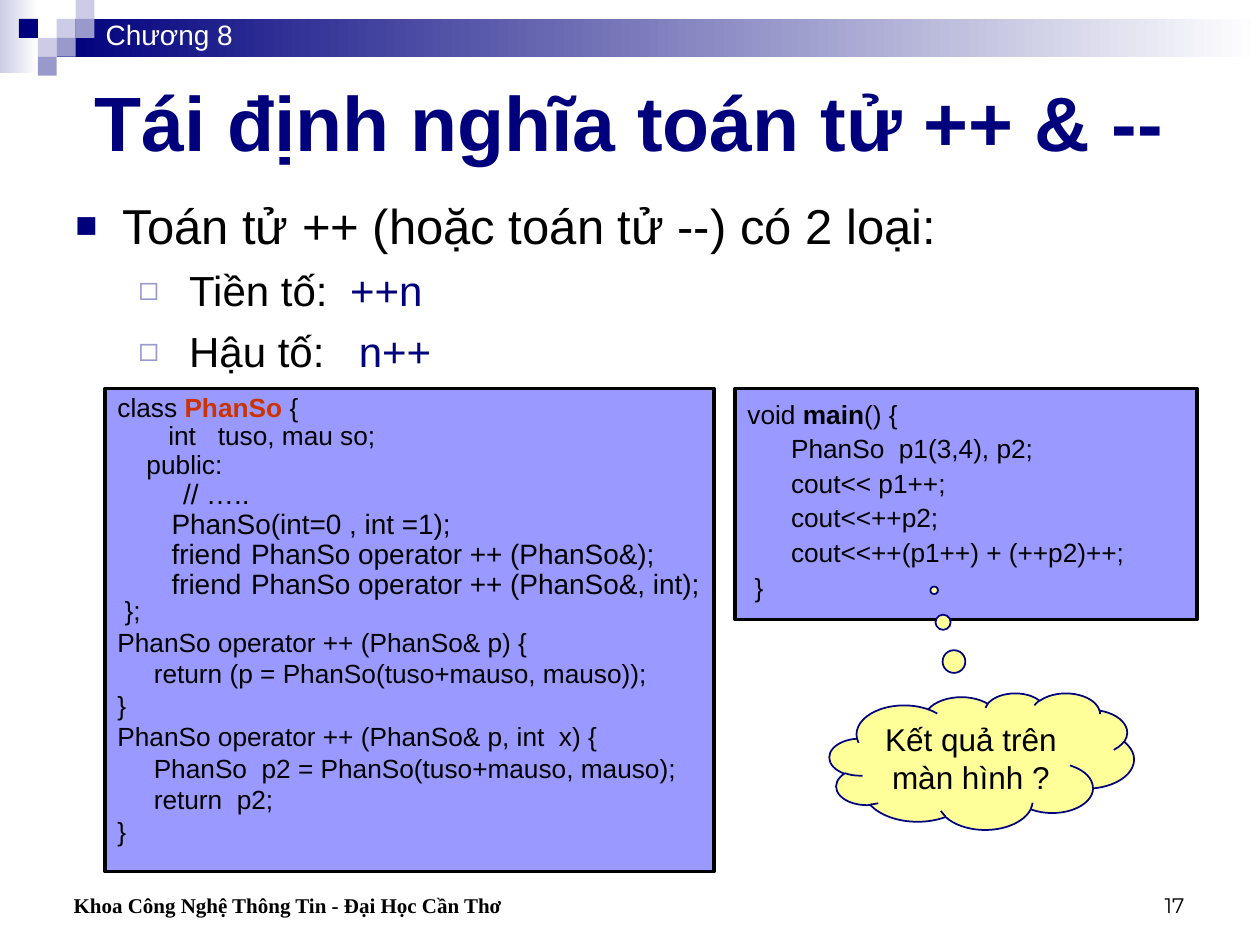
from pptx import Presentation
from pptx.dml.color import RGBColor
from pptx.enum.shapes import MSO_SHAPE as Shape
from pptx.enum.text import MSO_ANCHOR as Anchor, MSO_AUTO_SIZE as AutoSize, PP_ALIGN as Align
from pptx.oxml.ns import qn
from pptx.util import Pt
from lxml.etree import SubElement

NAVY, LILAC, PALE = "00007D", "9999CC", "CCCCE6"
BLACK, WHITE, RED = "000000", "FFFFFF", "CC3300"
CODE_FILL, CLOUD_FILL = "9999FF", "FFFF99"


def color(hex_text):
    return RGBColor.from_string(hex_text)


def add_box(slide, kind, box, fill, line=None, width=1):
    s = slide.shapes.add_shape(kind, *map(Pt, box))
    s.shadow.inherit = False
    if isinstance(fill, tuple):
        s.fill.gradient()
        s.fill.gradient_angle = 0
        for stop, c in zip(s.fill.gradient_stops, fill):
            stop.color.rgb = color(c)
    else:
        s.fill.solid()
        s.fill.fore_color.rgb = color(fill)
    if line:
        s.line.color.rgb = color(line)
        s.line.width = Pt(width)
    else:
        s.line.fill.background()
    return s


def add_runs(p, runs, size, font="Arial"):
    """Runs are plain strings or (text, formatting) pairs."""
    for run in runs:
        text, fmt = (run, {}) if isinstance(run, str) else run
        r = p.add_run()
        r.text = text
        r.font.name = font
        r.font.size = Pt(fmt.get("size", size))
        r.font.bold = fmt.get("bold", False)
        r.font.color.rgb = color(fmt.get("color", BLACK))


def next_paragraph(tf, first):
    return tf.paragraphs[0] if first else tf.add_paragraph()


def add_label(slide, box, run, size, font="Arial", align=Align.LEFT,
              anchor=Anchor.TOP):
    tf = slide.shapes.add_textbox(*map(Pt, box)).text_frame
    tf.word_wrap = True
    tf.vertical_anchor = anchor
    p = tf.paragraphs[0]
    p.alignment = align
    add_runs(p, [run], size, font)


def set_bullet(p, char, hex_text, percent, margin, hanging, tab=None):
    pPr = p._p.get_or_add_pPr()
    pPr.set("marL", str(Pt(margin)))
    pPr.set("indent", str(-Pt(hanging)))
    clr = SubElement(pPr, qn("a:buClr"))
    SubElement(clr, qn("a:srgbClr"), val=hex_text)
    SubElement(pPr, qn("a:buSzPct"), val=str(percent * 1000))
    SubElement(pPr, qn("a:buFont"), typeface="Arial")
    SubElement(pPr, qn("a:buChar"), char=char)
    if tab:
        tabs = SubElement(pPr, qn("a:tabLst"))
        SubElement(tabs, qn("a:tab"), pos=str(Pt(tab)), algn="l")


def add_banner(slide, box):
    left, top, width, height = box
    cell = 10.8
    add_box(slide, Shape.RECTANGLE, (left, top, 2 * cell, height), (PALE, WHITE))
    add_box(slide, Shape.RECTANGLE,
            (left + 3 * cell, top + cell, width - 3 * cell, 2 * cell), (NAVY, WHITE))
    tiles = [(3, 1, PALE), (4, 0, PALE), (4, 1, LILAC), (2, 2, PALE),
             (1, 1, NAVY), (3, 2, LILAC), (2, 3, LILAC)]
    for col, row, fill in tiles:
        add_box(slide, Shape.RECTANGLE,
                (left + col * cell, top + row * cell, cell, cell), fill)
    add_label(slide, (left + 53.3, top + 6.5, 126, 26.6),
              ("Chương 8", {"color": WHITE}), 16)


def set_title(slide, box):
    s = slide.shapes.title
    s.left, s.top, s.width, s.height = map(Pt, box)
    tf = s.text_frame
    tf.auto_size = AutoSize.NONE
    tf.vertical_anchor = Anchor.MIDDLE
    p = tf.paragraphs[0]
    p.alignment = Align.CENTER
    add_runs(p, [("Tái định nghĩa toán tử ++ & --", {"color": NAVY, "bold": True})], 44)


def add_outline(slide, box):
    tf = slide.shapes.add_textbox(*map(Pt, box)).text_frame
    tf.word_wrap = True
    p = tf.paragraphs[0]
    set_bullet(p, "■", NAVY, 75, 27, 27)
    add_runs(p, ["Toán tử ++ (hoặc toán tử --) có 2 loại:"], 28)
    for name, example, tab in [("Tiền tố:", "++n", 157), ("Hậu tố:", "n++", 162)]:
        p = tf.add_paragraph()
        p.level = 1
        p.space_before = Pt(6)
        set_bullet(p, "◻", LILAC, 80, 65, 29, tab)
        add_runs(p, [name + "\t", (example, {"color": NAVY})], 24)


def add_code(slide, box, blocks):
    """Blocks are (line spacing, text size, lines); a line is a list of runs."""
    tf = add_box(slide, Shape.RECTANGLE, box, CODE_FILL, BLACK, 2).text_frame
    tf.word_wrap = False
    tf.vertical_anchor = Anchor.TOP
    lines = [(spacing, size, line) for spacing, size, block in blocks for line in block]
    for i, (spacing, size, line) in enumerate(lines):
        p = next_paragraph(tf, i == 0)
        p.alignment = Align.LEFT
        p.line_spacing = spacing
        add_runs(p, line, size)


def add_question(slide, box):
    s = add_box(slide, Shape.CLOUD_CALLOUT, box, CLOUD_FILL, NAVY)
    s.adjustments[0], s.adjustments[1] = -0.156, -1.252
    tf = s.text_frame
    tf.word_wrap = True
    tf.vertical_anchor = Anchor.TOP
    p = tf.paragraphs[0]
    p.alignment = Align.CENTER
    add_runs(p, ["Kết quả trên màn hình ?"], 18)


def add_footer(slide, box):
    left, top, width, height = box
    add_label(slide, (left, top, 330, height),
              ("Khoa Công Nghệ Thông Tin - Đại Học Cần Thơ", {"bold": True}),
              12, "Times New Roman", anchor=Anchor.BOTTOM)
    add_label(slide, (left + width - 168, top, 168, height), "17", 12,
              "Montserrat", Align.RIGHT, Anchor.BOTTOM)


CLASS_CODE = [
    (0.9, 15, [
        ["class ", ("PhanSo", {"color": RED, "bold": True}), " {"],
        ["       int   tuso, mau so;"],
        ["    public:"],
        ["         ", ("// …..", {"size": 16})],
    ]),
    (0.9, 16, [
        ["       PhanSo(int=0 , int =1);"],
        ["       friend\t PhanSo operator ++ (PhanSo&);"],
        ["       friend\t PhanSo operator ++ (PhanSo&, int);"],
    ]),
    (0.8, 15, [[" };"]]),
    (1.0, 15, [
        ["PhanSo operator ++ (PhanSo& p) {"],
        ["     return (p = PhanSo(tuso+mauso, mauso));"],
        ["}"],
        ["PhanSo operator ++ (PhanSo& p, int  x) {"],
        ["     PhanSo  p2 = PhanSo(tuso+mauso, mauso);"],
        ["     return  p2;"],
        ["}"],
    ]),
]
MAIN_CODE = [
    (1.1, 15, [
        ["void ", ("main", {"bold": True}), "() {"],
        ["      PhanSo  p1(3,4), p2;"],
        ["      cout<< p1++;"],
        ["      cout<<++p2;"],
        ["      cout<<++(p1++) + (++p2)++;"],
        [" }"],
    ]),
]


def main():
    prs = Presentation()
    prs.slide_width, prs.slide_height = Pt(720), Pt(540)
    slide = prs.slides.add_slide(prs.slide_layouts[5])
    add_banner(slide, (0, 0, 720, 42))
    set_title(slide, (36, 36, 648, 66))
    add_outline(slide, (36, 108, 648, 114))
    add_code(slide, (60, 222, 348, 276), CLASS_CODE)
    add_code(slide, (420, 222, 264, 132), MAIN_CODE)
    add_question(slide, (474, 396, 174, 78))
    add_footer(slide, (35, 492, 649, 36))
    prs.save("out.pptx")


if __name__ == "__main__":
    main()
